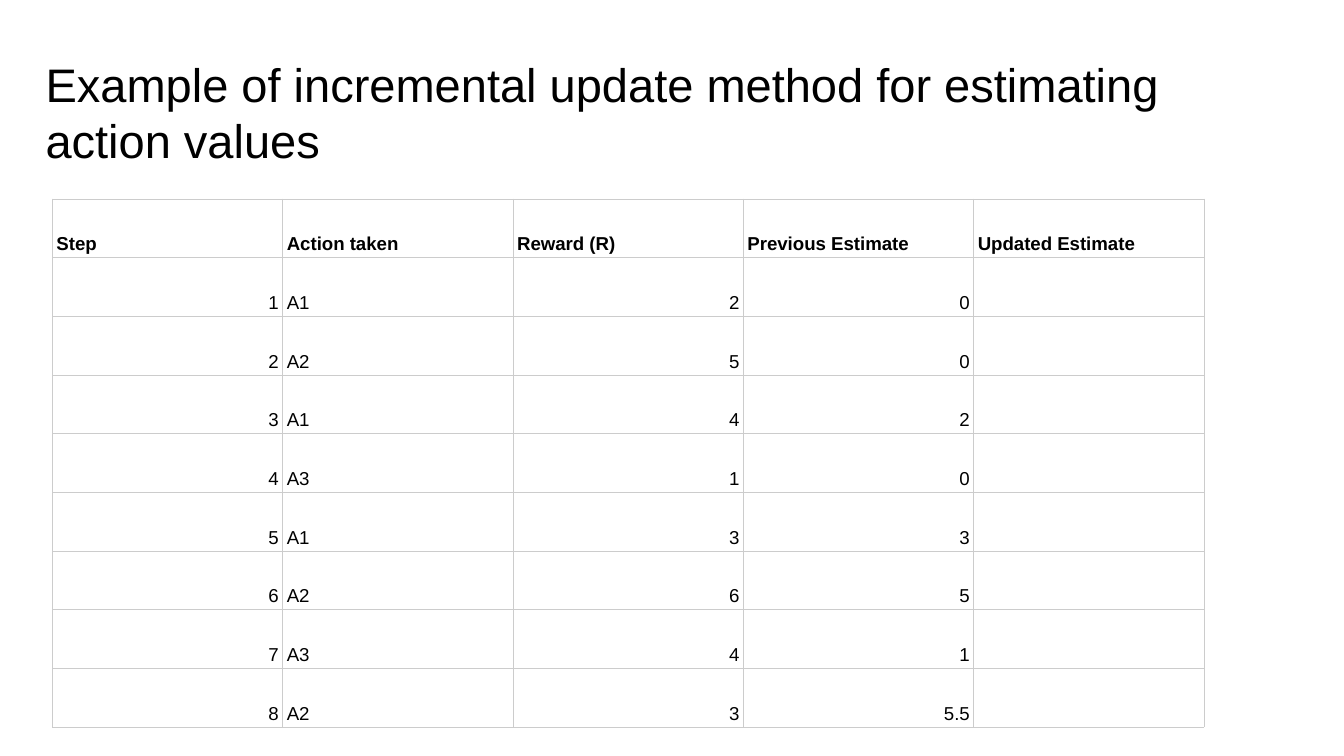
"""Builds a slide with a table of incremental action-value updates."""
from typing import NamedTuple

from lxml.etree import SubElement
from pptx import Presentation
from pptx.dml.color import RGBColor
from pptx.enum.text import MSO_ANCHOR as Anchor, PP_ALIGN as Align
from pptx.oxml.ns import qn
from pptx.util import Inches, Pt

FONT = "Arial"
BLACK = "000000"
GRID = "CCCCCC"
SLIDE_WIDTH = 10
SLIDE_HEIGHT = SLIDE_WIDTH * 9 / 16
TITLE = "Example of incremental update method for estimating action values"


class Column(NamedTuple):
    heading: str
    align: Align


class Step(NamedTuple):
    number: str
    action: str
    reward: str
    previous: str
    updated: str = ""


COLUMNS = [
    Column("Step", Align.RIGHT),
    Column("Action taken", Align.LEFT),
    Column("Reward (R)", Align.RIGHT),
    Column("Previous Estimate", Align.RIGHT),
    Column("Updated Estimate", Align.RIGHT),
]
STEPS = [
    Step("1", "A1", "2", "0"),
    Step("2", "A2", "5", "0"),
    Step("3", "A1", "4", "2"),
    Step("4", "A3", "1", "0"),
    Step("5", "A1", "3", "3"),
    Step("6", "A2", "6", "5"),
    Step("7", "A3", "4", "1"),
    Step("8", "A2", "3", "5.5"),
]


def color(value: str) -> RGBColor:
    return RGBColor.from_string(value)


def format_text(paragraph, size: float, spacing: float, bold: bool = False) -> None:
    paragraph.line_spacing = spacing
    for run in paragraph.runs:
        run.font.name = FONT
        run.font.size = Pt(size)
        run.font.bold = bold
        run.font.color.rgb = color(BLACK)


def add_borders(cell) -> None:
    properties = cell._tc.get_or_add_tcPr()
    for index, side in enumerate(("a:lnL", "a:lnR", "a:lnT", "a:lnB")):
        line = properties.makeelement(qn(side), {"w": str(Pt(0.43))})
        fill = SubElement(line, qn("a:solidFill"))
        SubElement(fill, qn("a:srgbClr"), val=GRID)
        properties.insert(index, line)


def fill_cell(cell, text: str, align: Align, bold: bool) -> None:
    cell.fill.background()
    add_borders(cell)
    if not text:
        return
    cell.text_frame.text = text
    cell.vertical_anchor = Anchor.BOTTOM
    cell.margin_left = cell.margin_right = Inches(0.03)
    cell.margin_top = cell.margin_bottom = Inches(0.02)
    paragraph = cell.text_frame.paragraphs[0]
    paragraph.alignment = align
    format_text(paragraph, 10, 1.15, bold)


def add_title(slide) -> None:
    box = slide.shapes.add_textbox(Inches(0.24), Inches(0.31), Inches(9.32), Inches(0.63))
    frame = box.text_frame
    frame.word_wrap = True
    frame.vertical_anchor = Anchor.TOP
    frame.margin_left = frame.margin_right = Inches(0.1)
    frame.margin_top = frame.margin_bottom = Inches(0.1)
    frame.text = TITLE
    format_text(frame.paragraphs[0], 25.2, 1.0)


def add_steps_table(slide) -> None:
    table = slide.shapes.add_table(
        len(STEPS) + 1, len(COLUMNS), Inches(0.39), Inches(1.48), Inches(8.57), Inches(3.93)
    ).table
    table.first_row = table.horz_banding = False
    for index, column in enumerate(COLUMNS):
        fill_cell(table.cell(0, index), column.heading, Align.LEFT, True)
        for row, step in enumerate(STEPS, start=1):
            fill_cell(table.cell(row, index), step[index], column.align, False)


def main() -> None:
    presentation = Presentation()
    presentation.slide_width = Inches(SLIDE_WIDTH)
    presentation.slide_height = Inches(SLIDE_HEIGHT)
    slide = presentation.slides.add_slide(presentation.slide_layouts[6])
    add_title(slide)
    add_steps_table(slide)
    presentation.save("out.pptx")


if __name__ == "__main__":
    main()
